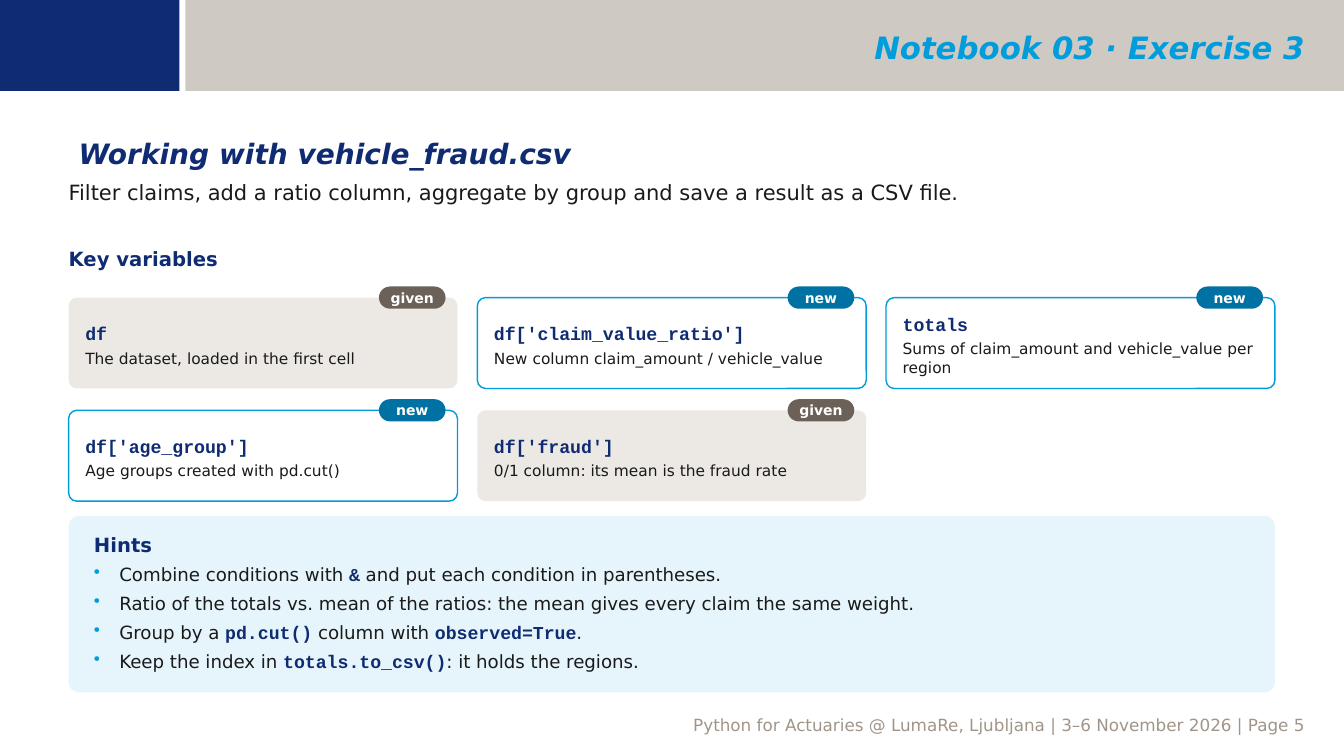
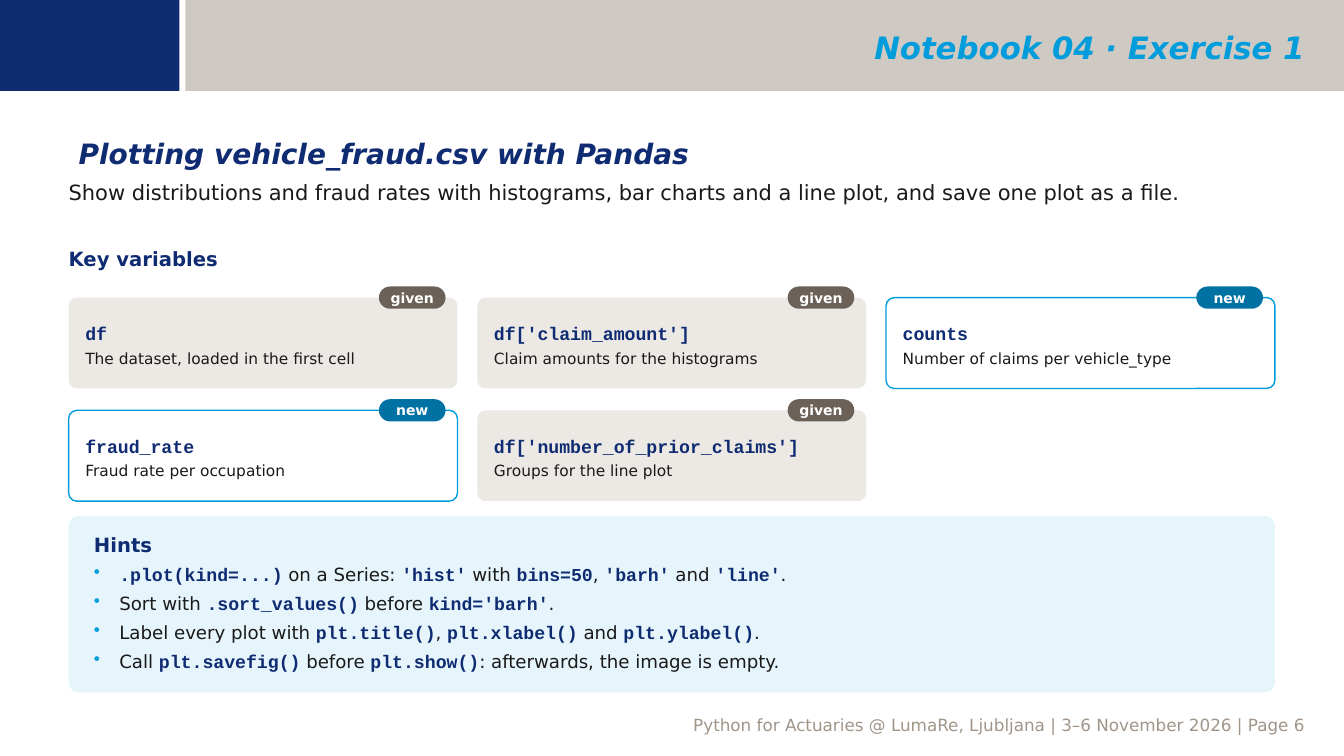
"""Build the exercise slides with key variable cards and hints."""
from dataclasses import dataclass

import lxml.etree
import pptx
import pptx.dml.color
import pptx.enum.shapes
import pptx.enum.text
import pptx.oxml.ns
import pptx.shapes.autoshape
import pptx.slide
import pptx.text.text
import pptx.util

Cm = pptx.util.Cm
Pt = pptx.util.Pt
Align = pptx.enum.text.PP_ALIGN
Anchor = pptx.enum.text.MSO_ANCHOR
Preset = pptx.enum.shapes.MSO_SHAPE
qn = pptx.oxml.ns.qn


@dataclass(frozen=True)
class Style:
    size: float
    color: str
    bold: bool = False
    italic: bool = False
    font: str = "DejaVu Sans"


@dataclass(frozen=True)
class Theme:
    navy: str = "0F2C73"
    taupe: str = "A19589"
    sky: str = "009CDB"
    paper: str = "FFFFFF"
    given_card: str = "ECE9E5"
    given_badge: str = "6B6158"
    new_badge: str = "0071A3"
    hint_panel: str = "E6F5FB"
    title: Style = Style(22, "009CDB", True, True)
    heading: Style = Style(20, "0F2B72", True, True)
    task: Style = Style(15, "1A1A1A")
    label: Style = Style(14, "0F2B72", True)
    code: Style = Style(13, "0F2B72", True, font="Courier New")
    hint: Style = Style(13, "1A1A1A")
    meaning: Style = Style(11, "1A1A1A")
    badge: Style = Style(10, "FFFFFF", True)
    footer: Style = Style(12, "A19589")


@dataclass(frozen=True)
class Box:
    left: float
    top: float
    width: float
    height: float

    def lengths(self) -> tuple[pptx.util.Length, ...]:
        return Cm(self.left), Cm(self.top), Cm(self.width), Cm(self.height)


@dataclass(frozen=True)
class Variable:
    code: str
    meaning: str
    is_new: bool = False


@dataclass(frozen=True)
class Exercise:
    title: str
    heading: str
    task: str
    variables: tuple[Variable, ...]
    hints: tuple[str, ...]
    page: int


THEME = Theme()
SLIDE_WIDTH, SLIDE_HEIGHT = 33.87, 19.05
MARGIN, CONTENT_WIDTH = 1.73, 30.4
BAND_HEIGHT, BAND_LEFT, CORNER_WIDTH = 2.29, 4.67, 4.52
COLUMNS, GAP = 3, 0.5
CARD_WIDTH = (CONTENT_WIDTH - (COLUMNS - 1) * GAP) / COLUMNS
CARD_HEIGHT, CARDS_TOP, ROW_PITCH = 2.29, 7.5, 2.84
BADGE_WIDTH, BADGE_HEIGHT, BADGE_INSET = 1.68, 0.56, 0.3
NO_INSETS = (0, 0, 0, 0)
DEFAULT_INSETS = (0.25, 0.13, 0.25, 0.13)

EXERCISES = (
    Exercise(
        "Notebook 03 · Exercise 3",
        "Working with vehicle_fraud.csv",
        "Filter claims, add a ratio column, aggregate by group and save a result as a CSV file.",
        (
            Variable("df", "The dataset, loaded in the first cell"),
            Variable("df['claim_value_ratio']", "New column claim_amount / vehicle_value", True),
            Variable("totals", "Sums of claim_amount and vehicle_value per region", True),
            Variable("df['age_group']", "Age groups created with pd.cut()", True),
            Variable("df['fraud']", "0/1 column: its mean is the fraud rate"),
        ),
        (
            "Combine conditions with `&` and put each condition in parentheses.",
            "Ratio of the totals vs. mean of the ratios: the mean gives every claim the same weight.",
            "Group by a `pd.cut()` column with `observed=True`.",
            "Keep the index in `totals.to_csv()`: it holds the regions.",
        ),
        5,
    ),
    Exercise(
        "Notebook 04 · Exercise 1",
        "Plotting vehicle_fraud.csv with Pandas",
        "Show distributions and fraud rates with histograms, bar charts and a line plot, "
        "and save one plot as a file.",
        (
            Variable("df", "The dataset, loaded in the first cell"),
            Variable("df['claim_amount']", "Claim amounts for the histograms"),
            Variable("counts", "Number of claims per vehicle_type", True),
            Variable("fraud_rate", "Fraud rate per occupation", True),
            Variable("df['number_of_prior_claims']", "Groups for the line plot"),
        ),
        (
            "`.plot(kind=...)` on a Series: `'hist'` with `bins=50`, `'barh'` and `'line'`.",
            "Sort with `.sort_values()` before `kind='barh'`.",
            "Label every plot with `plt.title()`, `plt.xlabel()` and `plt.ylabel()`.",
            "Call `plt.savefig()` before `plt.show()`: afterwards, the image is empty.",
        ),
        6,
    ),
)


def rgb(color: str) -> pptx.dml.color.RGBColor:
    return pptx.dml.color.RGBColor.from_string(color)


def add_run(paragraph: pptx.text.text._Paragraph, text: str, style: Style) -> None:
    run = paragraph.add_run()
    run.text = text
    run.font.name = style.font
    run.font.size = Pt(style.size)
    run.font.bold = style.bold
    run.font.italic = style.italic
    run.font.color.rgb = rgb(style.color)


def set_frame(
    frame: pptx.text.text.TextFrame,
    insets: tuple[float, ...],
    anchor: Anchor = Anchor.TOP,
) -> None:
    frame.word_wrap = True
    frame.vertical_anchor = anchor
    frame.margin_left, frame.margin_top, frame.margin_right, frame.margin_bottom = map(Cm, insets)


def add_text(
    slide: pptx.slide.Slide,
    box: Box,
    text: str,
    style: Style,
    insets: tuple[float, ...] = NO_INSETS,
    align: Align = Align.LEFT,
    anchor: Anchor = Anchor.TOP,
) -> None:
    frame = slide.shapes.add_textbox(*box.lengths()).text_frame
    set_frame(frame, insets, anchor)
    frame.paragraphs[0].alignment = align
    add_run(frame.paragraphs[0], text, style)


def add_panel(
    slide: pptx.slide.Slide,
    box: Box,
    fill: str,
    rounding: float | None = None,
    outline: str | None = None,
) -> pptx.shapes.autoshape.Shape:
    preset = Preset.RECTANGLE if rounding is None else Preset.ROUNDED_RECTANGLE
    panel = slide.shapes.add_shape(preset, *box.lengths())
    panel.shadow.inherit = False
    if rounding is not None:
        panel.adjustments[0] = rounding
    panel.fill.solid()
    panel.fill.fore_color.rgb = rgb(fill)
    if outline:
        panel.line.color.rgb = rgb(outline)
        panel.line.width = Pt(1)
    else:
        panel.line.fill.background()
    return panel


def add_frame(slide: pptx.slide.Slide, exercise: Exercise) -> None:
    add_text(
        slide, Box(1.93, 17.9, 31.22, 0.23),
        f"Python for Actuaries @ LumaRe, Ljubljana | 3–6 November 2026 | Page {exercise.page}",
        THEME.footer, DEFAULT_INSETS, Align.RIGHT,
    )
    band = add_panel(slide, Box(BAND_LEFT, 0, SLIDE_WIDTH - BAND_LEFT, BAND_HEIGHT), THEME.taupe)
    band_color = band.fill._xPr.find(qn("a:solidFill"))[0]
    lxml.etree.SubElement(band_color, qn("a:alpha"), val="50000")
    add_panel(slide, Box(0, 0, CORNER_WIDTH, BAND_HEIGHT), THEME.navy)
    add_text(
        slide, Box(5.13, 0.12, 28, 2.13), exercise.title, THEME.title,
        DEFAULT_INSETS, Align.RIGHT, Anchor.MIDDLE,
    )


def add_card(slide: pptx.slide.Slide, variable: Variable, left: float, top: float) -> None:
    card = add_panel(
        slide,
        Box(left, top, CARD_WIDTH, CARD_HEIGHT),
        THEME.paper if variable.is_new else THEME.given_card,
        0.09,
        THEME.sky if variable.is_new else None,
    )
    set_frame(card.text_frame, (0.36, 0.25, 0.36, 0.15), Anchor.MIDDLE)
    code = card.text_frame.paragraphs[0]
    meaning = card.text_frame.add_paragraph()
    meaning.space_before = Pt(3)
    for paragraph, text, style in (
        (code, variable.code, THEME.code),
        (meaning, variable.meaning, THEME.meaning),
    ):
        paragraph.alignment = Align.LEFT
        add_run(paragraph, text, style)

    badge_left = left + CARD_WIDTH - BADGE_INSET - BADGE_WIDTH
    badge = add_panel(
        slide,
        Box(badge_left, top - BADGE_HEIGHT / 2, BADGE_WIDTH, BADGE_HEIGHT),
        THEME.new_badge if variable.is_new else THEME.given_badge,
        0.5,
    )
    set_frame(badge.text_frame, NO_INSETS, Anchor.MIDDLE)
    status = badge.text_frame.paragraphs[0]
    status.alignment = Align.CENTER
    add_run(status, "new" if variable.is_new else "given", THEME.badge)


def add_bullet(paragraph: pptx.text.text._Paragraph) -> None:
    properties = paragraph._p.get_or_add_pPr()
    indent = Cm(0.64)
    properties.set("marL", str(indent))
    properties.set("indent", str(-indent))
    bullet_color = lxml.etree.SubElement(properties, qn("a:buClr"))
    lxml.etree.SubElement(bullet_color, qn("a:srgbClr"), val=THEME.sky)
    lxml.etree.SubElement(properties, qn("a:buChar"), char="•")


def add_hints(slide: pptx.slide.Slide, hints: tuple[str, ...]) -> None:
    panel = add_panel(slide, Box(MARGIN, 13, CONTENT_WIDTH, 4.45), THEME.hint_panel, 0.06)
    frame = panel.text_frame
    set_frame(frame, (0.56, 0.36, 0.56, 0.25))
    frame.paragraphs[0].alignment = Align.LEFT
    add_run(frame.paragraphs[0], "Hints", THEME.label)
    for hint in hints:
        paragraph = frame.add_paragraph()
        paragraph.alignment = Align.LEFT
        paragraph.space_before = Pt(5)
        add_bullet(paragraph)
        for position, part in enumerate(hint.split("`")):
            if part:
                add_run(paragraph, part, THEME.code if position % 2 else THEME.hint)


def add_exercise(deck: pptx.presentation.Presentation, exercise: Exercise) -> None:
    slide = deck.slides.add_slide(deck.slide_layouts[6])
    add_frame(slide, exercise)
    add_text(slide, Box(MARGIN, 3.3, CONTENT_WIDTH, 1.02), exercise.heading, THEME.heading, DEFAULT_INSETS)
    add_text(slide, Box(MARGIN, 4.52, CONTENT_WIDTH, 1.57), exercise.task, THEME.task)
    add_text(slide, Box(MARGIN, 6.22, 15.24, 0.81), "Key variables", THEME.label)
    for index, variable in enumerate(exercise.variables):
        row, column = divmod(index, COLUMNS)
        add_card(slide, variable, MARGIN + column * (CARD_WIDTH + GAP), CARDS_TOP + row * ROW_PITCH)
    add_hints(slide, exercise.hints)


def main() -> None:
    deck = pptx.Presentation()
    deck.slide_width, deck.slide_height = Cm(SLIDE_WIDTH), Cm(SLIDE_HEIGHT)
    for exercise in EXERCISES:
        add_exercise(deck, exercise)
    deck.save("out.pptx")


if __name__ == "__main__":
    main()
